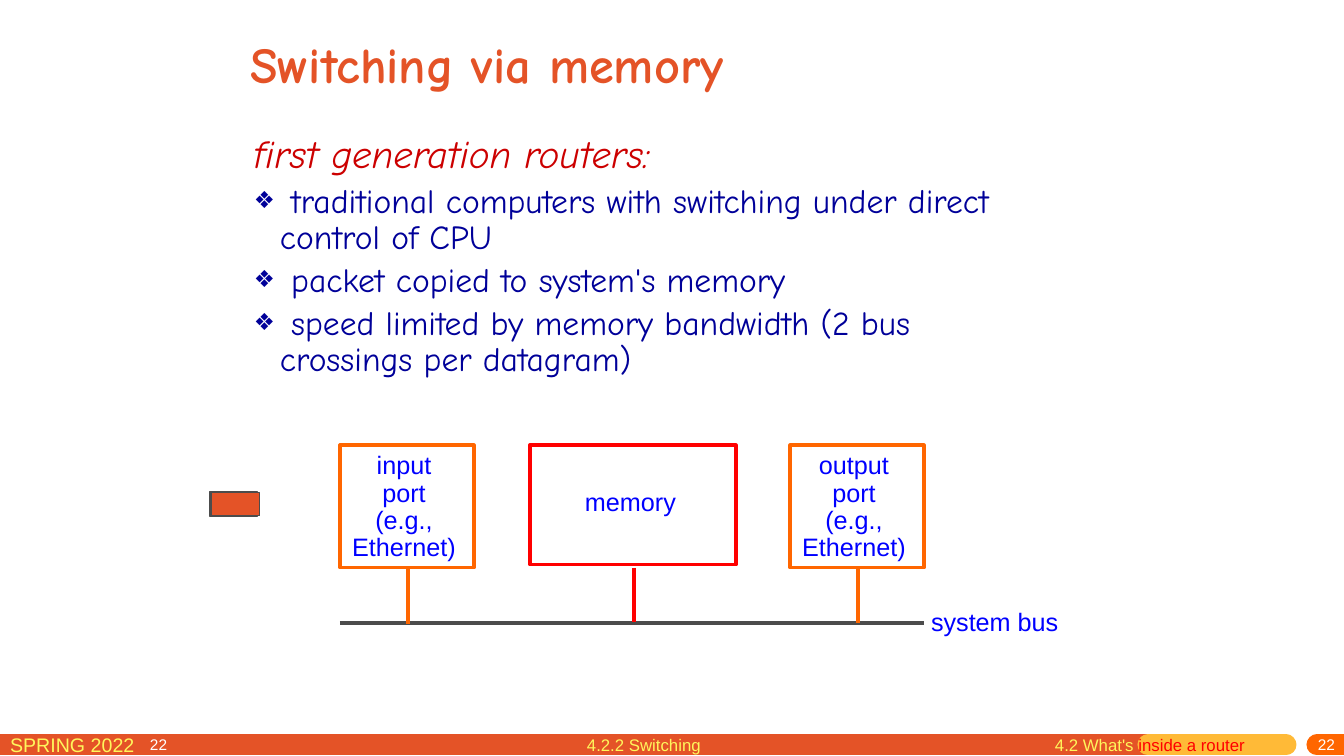
import pptx
import pptx.util
import pptx.dml.color
import pptx.enum.shapes
import pptx.enum.text
import pptx.oxml.ns
import lxml.etree

PX = 914400 / 100.8
ALIGN = pptx.enum.text.PP_ALIGN
ANCHOR = pptx.enum.text.MSO_ANCHOR
RECT = pptx.enum.shapes.MSO_SHAPE.RECTANGLE
STRAIGHT = pptx.enum.shapes.MSO_CONNECTOR.STRAIGHT
ORANGE, BRICK, RED, BLUE, GRAY = "FF6600", "E45327", "FF0000", "0000FF", "4C4C4C"
YELLOW = "FFF65C"


def color(value):
    return pptx.dml.color.RGBColor.from_string(value)


def add_text(box, text, size, col, font="Arial", align=ALIGN.LEFT, wrap=True,
             spacing=None, anchor=ANCHOR.TOP, margins=(10, 5, 10, 5)):
    sp = slide.shapes.add_textbox(*[round(v * PX) for v in box])
    tf = sp.text_frame
    tf.word_wrap = wrap
    tf.vertical_anchor = anchor
    tf.margin_left, tf.margin_top, tf.margin_right, tf.margin_bottom = [
        round(v * PX) for v in margins]
    tf.text = text
    for p in tf.paragraphs:
        p.alignment = align
        p.line_spacing = spacing
        for r in p.runs:
            r.font.name = font
            r.font.size = pptx.util.Pt(size)
            r.font.color.rgb = color(col)
    return tf


prs = pptx.Presentation()
prs.slide_width = round(1344 * PX)
prs.slide_height = round(756 * PX)
slide = prs.slides.add_slide(prs.slide_layouts[6])

# Lines: footer bar, system bus and the links down to it
lines = [
    (-18, 745, 1148, 745, BRICK, 15, "flat"),
    (1148, 745, 1286, 745, "FFBA37", 15, "rnd"),
    (1317, 745, 1371, 745, ORANGE, 15, "rnd"),
    (340, 623, 924, 623, GRAY, 2.25, "flat"),
    (408, 569, 408, 624, ORANGE, 2.25, "flat"),
    (858, 568, 858, 623, ORANGE, 2.25, "flat"),
    (634, 568, 634, 622, RED, 2.25, "flat"),
]
for x1, y1, x2, y2, col, width, cap in lines:
    line = slide.shapes.add_connector(STRAIGHT, *[round(v * PX) for v in (x1, y1, x2, y2)])
    line.line.color.rgb = color(col)
    line.line.width = pptx.util.Pt(width)
    line.line._get_or_add_ln().set("cap", cap)
    lxml.etree.SubElement(line._element.spPr, pptx.oxml.ns.qn("a:effectLst"))

# Boxes: ports, memory and the waiting packet
boxes = [
    (340, 445, 134, 123, "FFFFFF", ORANGE, 2.25),
    (530, 445, 206, 120, None, RED, 2.25),
    (790, 445, 134, 123, "FFFFFF", ORANGE, 2.25),
    (210, 492, 48, 24, BRICK, GRAY, 0.75),
    (211, 493, 49, 23, BRICK, GRAY, 0.75),
]
for x, y, w, h, fill, border, width in boxes:
    sp = slide.shapes.add_shape(RECT, *[round(v * PX) for v in (x, y, w, h)])
    sp.shadow.inherit = False
    if fill:
        sp.fill.solid()
        sp.fill.fore_color.rgb = color(fill)
    else:
        sp.fill.background()
    sp.line.color.rgb = color(border)
    sp.line.width = pptx.util.Pt(width)

# Diagram labels
for box, label in [
    ((342, 448, 124, 119), "input\nport\n(e.g.,\nEthernet)"),
    ((575, 485, 111, 37), "memory"),
    ((792, 448, 124, 119), "output\nport\n(e.g.,\nEthernet)"),
]:
    add_text(box, label, 18, BLUE, align=ALIGN.CENTER, wrap=False, spacing=0.9)
add_text((921, 601, 148, 40), "system bus", 18, BLUE, wrap=False)

# Title
title = add_text((240, 29, 857, 68), "Switching via memory", 36, BRICK,
                 "Comic Neue", anchor=ANCHOR.MIDDLE)
title.paragraphs[0].runs[0].font.bold = True

# Body: heading followed by bullets
body = add_text((244, 130, 770, 267), "\n".join([
    "first generation routers:",
    " traditional computers with switching under direct control of CPU",
    " packet copied to system's memory",
    " speed limited by memory bandwidth (2 bus crossings per datagram)",
]), 24, "000099", "Comic Neue", spacing=0.9)
heading = body.paragraphs[0].runs[0].font
heading.size = pptx.util.Pt(28)
heading.italic = True
heading.color.rgb = color("CC0000")
for p in body.paragraphs[1:]:
    p.space_before = pptx.util.Pt(4.8)
    pPr = p._p.get_or_add_pPr()
    pPr.set("marL", str(round(26 * PX)))
    pPr.set("indent", str(round(-26 * PX)))
    for tag, key, value in [("buSzPct", "val", "70000"),
                            ("buFont", "typeface", "Arial"),
                            ("buChar", "char", "❖")]:
        lxml.etree.SubElement(pPr, pptx.oxml.ns.qn("a:" + tag)).set(key, value)

# Footer
add_text((0, 728, 231, 31), "SPRING 2022", 14, YELLOW)
for box, align in [((1084, 738, 261, 18), ALIGN.RIGHT), ((140, 739, 55, 15), ALIGN.LEFT)]:
    add_text(box, "22", 11, "FFFFFF", align=align, anchor=ANCHOR.MIDDLE,
             margins=(10, 0, 10, 5))
add_text((577, 730, 230, 31), "4.2.2 Switching", 12, YELLOW)
section = add_text((1045, 730, 222, 31), "4.2 What's ", 12, YELLOW)
r = section.paragraphs[0].add_run()
r.text = "inside a router"
r.font.name = "Arial"
r.font.size = pptx.util.Pt(12)
r.font.color.rgb = color(RED)

prs.save("out.pptx")
